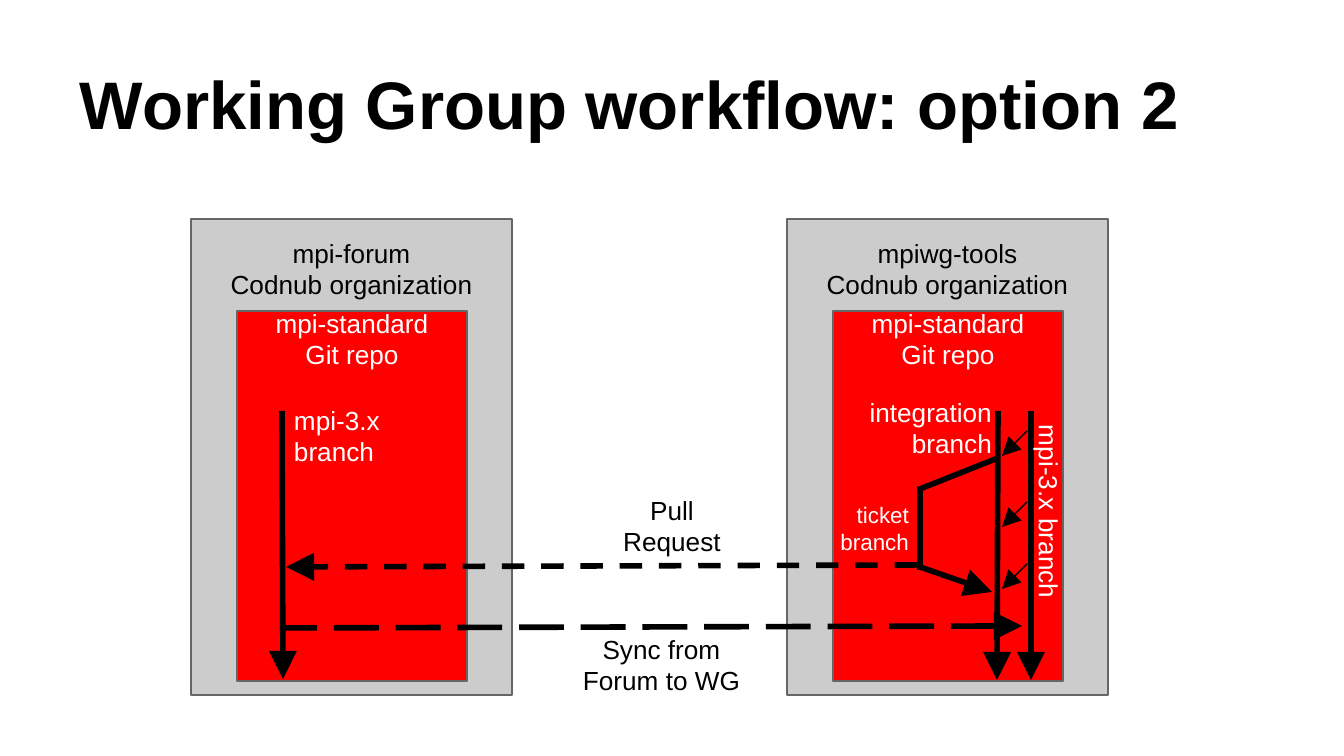
from lxml import etree
from pptx import Presentation, util as u
from pptx.dml.color import RGBColor
from pptx.enum import dml, shapes, text
from pptx.oxml.ns import qn

SCALE = 914400 / 134.4  # EMU per px
BLACK, WHITE, RED, GREY, EDGE = "000000", "FFFFFF", "FF0000", "CCCCCC", "666666"
INSET = 13

# Content: organizations with the left edge of each box
ORGANIZATIONS = [(191, "mpi-forum"), (787, "mpiwg-tools")]
ORG_SIZE, REPO_SIZE, REPO_OFFSET = (321, 476), (230, 370), (46, 92)
ORG_TOP = 219

TITLE = "Working Group workflow: option 2"
# lines, (left, top, width, height), format
LABELS = [
    (["Pull Request"], (590, 481, 164, 75), dict(align="CENTER")),
    (["Sync from Forum to WG"], (562, 620, 199, 75), dict(align="CENTER")),
    (["mpi-3.x", "branch"], (281, 391, 214, 54), dict(color=WHITE)),
    (["integration", "branch"], (791, 383, 214, 54),
     dict(color=WHITE, align="RIGHT")),
    (["ticket", "branch"], (708, 488, 214, 54),
     dict(color=WHITE, align="RIGHT", size=12)),
    (["mpi-3.x branch"], (944, 492, 214, 54), dict(color=WHITE, turn=90)),
]

# start, end, format
LINES = [
    ((917, 565), (286, 567), dict(dash="DASH", tail=True)),  # pull request
    ((282, 411), (283, 679), dict(tail=True)),               # forum branch
    ((998, 411), (997, 680), dict(tail=True)),               # integration branch
    ((998, 458), (920, 489), {}),                            # ticket branch
    ((920, 486), (920, 570), {}),
    ((920, 567), (992, 592), dict(tail=True)),
    ((1031, 411), (1031, 680), dict(tail=True)),             # working group branch
    ((1022, 626), (281, 628), dict(dash="LONG_DASH", head=True)),  # sync
]
MERGE_TOPS, MERGE_X, MERGE_DROP = [431, 502, 564], (1027, 1002), 25


def px(value):
    return u.Emu(round(value * SCALE))


def rgb(color):
    return RGBColor.from_string(color)


def write(box, lines, size=14, color=BLACK, align="LEFT", bold=False,
          anchor="TOP", top=INSET):
    frame = box.text_frame
    frame.word_wrap = True
    frame.vertical_anchor = getattr(text.MSO_ANCHOR, anchor)
    frame.margin_left = frame.margin_right = frame.margin_bottom = px(INSET)
    frame.margin_top = px(top)
    for index, line in enumerate(lines):
        para = frame.add_paragraph() if index else frame.paragraphs[0]
        para.alignment = getattr(text.PP_ALIGN, align)
        span = para.add_run()
        span.text = line
        span.font.name = "Arial"
        span.font.size = u.Pt(size)
        span.font.bold = bold
        span.font.color.rgb = rgb(color)


def add_label(page, lines, place, turn=0, **style):
    box = page.shapes.add_textbox(*map(px, place))
    box.rotation = turn
    write(box, lines, **style)


def add_box(page, place, fill, lines, **style):
    box = page.shapes.add_shape(shapes.MSO_SHAPE.RECTANGLE, *map(px, place))
    box.shadow.inherit = False
    box.fill.solid()
    box.fill.fore_color.rgb = rgb(fill)
    box.line.color.rgb = rgb(EDGE)
    box.line.width = u.Pt(0.75)
    write(box, lines, align="CENTER", **style)


def add_line(page, start, end, width=3, dash=None, head=False, tail=False):
    line = page.shapes.add_connector(shapes.MSO_CONNECTOR.STRAIGHT,
                                     *map(px, start + end))
    line.line.color.rgb = rgb(BLACK)
    line.line.width = u.Pt(width)
    if dash:
        line.line.dash_style = getattr(dml.MSO_LINE, dash)
    properties = line.line._get_or_add_ln()
    for name, wanted in (("a:headEnd", head), ("a:tailEnd", tail)):
        if wanted:
            etree.SubElement(properties, qn(name), type="triangle",
                             w="lg", len="lg")
    etree.SubElement(line._element.spPr, qn("a:effectLst"))


def main():
    deck = Presentation()
    deck.slide_width, deck.slide_height = px(1344), px(756)
    page = deck.slides.add_slide(deck.slide_layouts[6])

    add_label(page, [TITLE], (67, 30, 1210, 126), size=36, bold=True,
              anchor="BOTTOM")

    # Organizations, each holding one repository
    for left, name in ORGANIZATIONS:
        add_box(page, (left, ORG_TOP, *ORG_SIZE), GREY,
                [name, "Codnub organization"], top=18)
        corner = (left + REPO_OFFSET[0], ORG_TOP + REPO_OFFSET[1])
        add_box(page, corner + REPO_SIZE, RED, ["mpi-standard", "Git repo"],
                color=WHITE, top=-4)

    # Branches and transfers
    for start, end, style in LINES:
        add_line(page, start, end, **style)

    # Merges from the mpi-3.x branch into the integration branch
    for top in MERGE_TOPS:
        add_line(page, (MERGE_X[0], top), (MERGE_X[1], top + MERGE_DROP),
                 width=0.75, tail=True)

    for lines, place, style in LABELS:
        add_label(page, lines, place, **style)

    deck.save("out.pptx")


if __name__ == "__main__":
    main()
